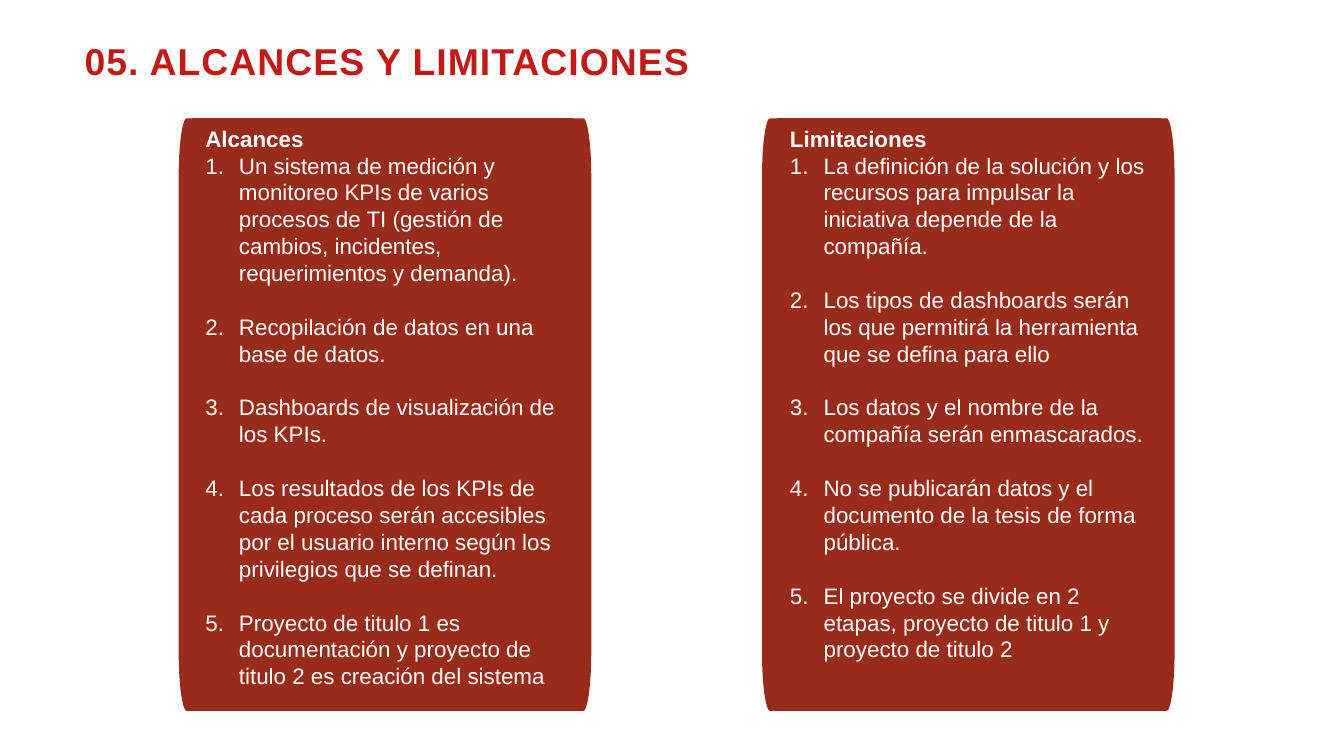
from math import cos, pi, sin

from lxml import etree
from pptx import Presentation
from pptx.dml.color import RGBColor
from pptx.enum.shapes import MSO_SHAPE
from pptx.enum.text import MSO_ANCHOR, MSO_AUTO_SIZE, PP_ALIGN
from pptx.oxml.ns import qn
from pptx.util import Inches, Pt

RECTANGLE = MSO_SHAPE.RECTANGLE
TOP = MSO_ANCHOR.TOP
LEFT = PP_ALIGN.LEFT
GROW = MSO_AUTO_SIZE.SHAPE_TO_FIT_TEXT
FIXED = MSO_AUTO_SIZE.NONE

TITLE_RED = RGBColor(0xC2, 0x1B, 0x17)
PANEL_RED = RGBColor(0x98, 0x2B, 0x1A)
WHITE = RGBColor(0xFF, 0xFF, 0xFF)

FONT = "Arial"
LINE_PITCH = Pt(14.4)
INDENT = Inches(0.25)
PAGE_WIDTH = 10
PAGE_HEIGHT = PAGE_WIDTH * 9 / 16
PANEL_TOP, PANEL_WIDTH, PANEL_HEIGHT = 0.88, 3.07, 4.41
CORNER_WIDTH, CORNER_HEIGHT = 0.06, 0.44
ARC_STEPS = 12

SCOPE = [
    "Un sistema de medición y monitoreo KPIs de varios procesos de TI "
    "(gestión de cambios, incidentes, requerimientos y demanda).",
    "Recopilación de datos en una base de datos.",
    "Dashboards de visualización de los KPIs.",
    "Los resultados de los KPIs de cada proceso serán accesibles por el "
    "usuario interno según los privilegios que se definan.",
    "Proyecto de titulo 1 es documentación y proyecto de titulo 2 es "
    "creación del sistema",
]
LIMITS = [
    "La definición de la solución y los recursos para impulsar la iniciativa "
    "depende de la compañía.",
    "Los tipos de dashboards serán los que permitirá la herramienta que se "
    "defina para ello",
    "Los datos y el nombre de la compañía serán enmascarados.",
    "No se publicarán datos y el documento de la tesis de forma pública.",
    "El proyecto se divide en 2 etapas, proyecto de titulo 1 y proyecto de "
    "titulo 2",
]


def place(shape, left, top, width, height):
    """Move and size a shape, in inches."""
    shape.left, shape.top = Inches(left), Inches(top)
    shape.width, shape.height = Inches(width), Inches(height)


def paint(shape):
    """Give a shape the plain panel fill."""
    shape.shadow.inherit = False
    shape.fill.solid()
    shape.fill.fore_color.rgb = PANEL_RED
    shape.line.fill.background()


def style_font(para, size, color, bold):
    """Set the font of a whole paragraph."""
    font = para.font
    font.name, font.size, font.bold = FONT, Pt(size), bold
    font.color.rgb = color


def add_title(page, text):
    """Fill and format the title placeholder."""
    title = page.shapes.title
    place(title, 0.63, 0.34, 8.66, 0.64)
    frame = title.text_frame
    frame.margin_left = frame.margin_right = 0
    frame.margin_top = frame.margin_bottom = 0
    frame.vertical_anchor = TOP
    frame.auto_size = FIXED
    para = frame.paragraphs[0]
    para.alignment = LEFT
    para.line_spacing = Pt(20)
    style_font(para, 20, TITLE_RED, True)
    span = para.add_run()
    span.text = text
    span.font._element.set("spc", "55")


def add_backdrop(page, left, top, width, height):
    """Draw a panel with tall elliptical corners."""
    right, bottom = left + width - CORNER_WIDTH, top + height - CORNER_HEIGHT
    near, high = left + CORNER_WIDTH, top + CORNER_HEIGHT
    centers = [(near, high), (right, high), (right, bottom), (near, bottom)]
    points = []
    for corner, (x, y) in enumerate(centers):
        for step in range(ARC_STEPS + 1):
            angle = pi + pi / 2 * (corner + step / ARC_STEPS)
            points.append((Inches(x + CORNER_WIDTH * cos(angle)),
                           Inches(y + CORNER_HEIGHT * sin(angle))))
    builder = page.shapes.build_freeform(*points[0])
    builder.add_line_segments(points[1:], close=True)
    paint(builder.convert_to_shape())


def number_paragraph(para):
    """Turn a paragraph into a numbered list item."""
    props = para._p.get_or_add_pPr()
    props.set("marL", str(INDENT))
    props.set("indent", str(-INDENT))
    etree.SubElement(props, qn("a:buFont"), typeface="+mj-lt")
    etree.SubElement(props, qn("a:buAutoNum"), type="arabicPeriod")


def add_list(page, left, top, width, height, heading, items):
    """Add the box with a heading and its numbered items."""
    box = page.shapes.add_shape(RECTANGLE, Inches(left), Inches(top),
                                Inches(width), Inches(height))
    paint(box)
    frame = box.text_frame
    frame.word_wrap = True
    frame.auto_size = GROW
    frame.vertical_anchor = TOP
    for index, text in enumerate([heading, *items]):
        para = frame.add_paragraph() if index else frame.paragraphs[0]
        para.text = text
        if index:
            number_paragraph(para)
        para.alignment = LEFT
        para.line_spacing = LINE_PITCH
        para.space_before = LINE_PITCH if index > 1 else Pt(0)
        style_font(para, 12, WHITE, index == 0)


def add_panel(page, left, inset, list_width, list_height, heading, items):
    """Build one column: backdrop and list."""
    add_backdrop(page, left, PANEL_TOP, PANEL_WIDTH, PANEL_HEIGHT)
    add_list(page, left + inset, PANEL_TOP, list_width, list_height,
             heading, items)


def main():
    """Build the deck and save it."""
    deck = Presentation()
    deck.slide_width = Inches(PAGE_WIDTH)
    deck.slide_height = Inches(PAGE_HEIGHT)
    page = deck.slides.add_slide(deck.slide_layouts[5])
    add_title(page, "05. ALCANCES Y LIMITACIONES")
    add_panel(page, 1.33, 0.1, 2.84, 4.34, "Alcances", SCOPE)
    add_panel(page, 5.67, 0.11, 2.86, 4.14, "Limitaciones", LIMITS)
    deck.save("out.pptx")


if __name__ == "__main__":
    main()
